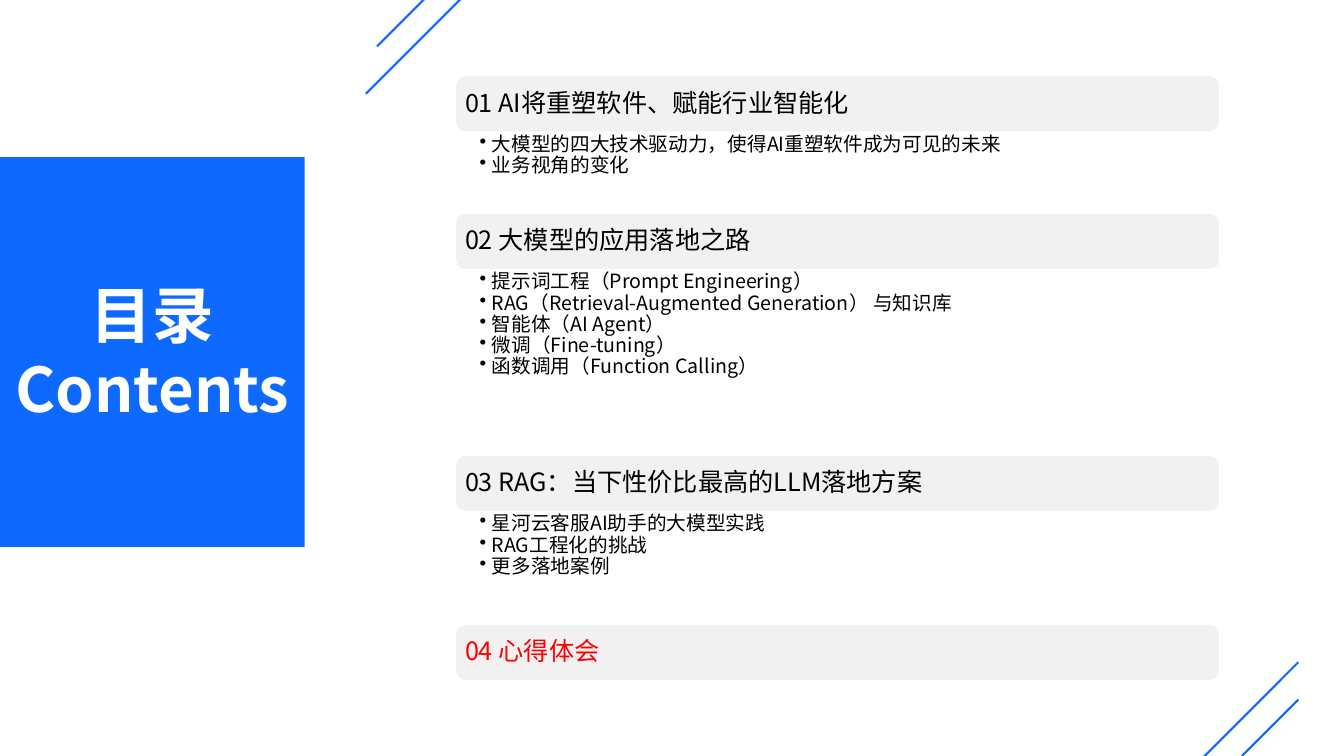
from dataclasses import dataclass

from lxml.etree import SubElement
from pptx import Presentation
from pptx.dml.color import RGBColor
from pptx.enum.shapes import MSO_CONNECTOR, MSO_SHAPE
from pptx.enum.text import MSO_ANCHOR, PP_ALIGN
from pptx.oxml.ns import qn
from pptx.shapes.autoshape import Shape
from pptx.slide import Slide
from pptx.text.text import TextFrame, _Paragraph
from pptx.util import Pt

FONT = "Noto Sans CJK SC"
BLUE = "0E69FE"
WHITE = "FFFFFF"
BLACK = "000000"
RED = "FF0000"
BAR_FILL = "F1F1F1"

BAR_LEFT, BAR_WIDTH, BAR_HEIGHT = 325.4, 545.8, 40.3
BAR_PITCH = 40.5
FIRST_BAR_TOP = 54
HEADING_INSET = 1.8
BULLET_INDENT = 8.64


@dataclass(frozen=True)
class Section:
    heading: str
    topics: tuple[str, ...] = ()
    topics_height: float = 0
    color: str = BLACK


@dataclass(frozen=True)
class Stripe:
    x1: float
    y1: float
    x2: float
    y2: float


SECTIONS = (
    Section(
        "01 AI将重塑软件、赋能行业智能化",
        ("大模型的四大技术驱动力，使得AI重塑软件成为可见的未来", "业务视角的变化"),
        57.8,
    ),
    Section(
        "02 大模型的应用落地之路",
        (
            "提示词工程（Prompt Engineering）",
            "RAG（Retrieval-Augmented Generation） 与知识库",
            "智能体（AI Agent）",
            "微调（Fine-tuning）",
            "函数调用（Function Calling）",
        ),
        132.4,
    ),
    Section(
        "03 RAG：当下性价比最高的LLM落地方案",
        ("星河云客服AI助手的大模型实践", "RAG工程化的挑战", "更多落地案例"),
        80.2,
    ),
    Section("04 心得体会", color=RED),
)

STRIPES = (
    Stripe(357.8, -29.5, 261.4, 67),
    Stripe(927.4, 473, 824.4, 576),
    Stripe(309.6, -7.2, 269.3, 33.1),
    Stripe(927.4, 499.7, 887, 540),
)


def rgb(color: str) -> RGBColor:
    return RGBColor.from_string(color)


def style_paragraph(
    paragraph: _Paragraph, size: float, color: str, bold: bool = False
) -> None:
    font = paragraph.font
    font.size = Pt(size)
    font.bold = bold
    font.color.rgb = rgb(color)
    font.name = FONT
    defaults = paragraph._p.pPr.find(qn("a:defRPr"))
    SubElement(defaults, qn("a:ea")).set("typeface", FONT)


def add_bullet(paragraph: _Paragraph) -> None:
    properties = paragraph._p.get_or_add_pPr()
    properties.set("marL", str(Pt(BULLET_INDENT)))
    properties.set("indent", str(-Pt(BULLET_INDENT)))
    SubElement(properties, qn("a:buChar")).set("char", "•")


def add_text_frame(
    slide: Slide,
    left: float,
    top: float,
    width: float,
    height: float,
    insets: tuple[float, float, float, float],
) -> TextFrame:
    box = slide.shapes.add_textbox(Pt(left), Pt(top), Pt(width), Pt(height))
    frame = box.text_frame
    frame.word_wrap = True
    frame.margin_left, frame.margin_top, frame.margin_right, frame.margin_bottom = (
        Pt(inset) for inset in insets
    )
    return frame


def add_panel(
    slide: Slide,
    kind: MSO_SHAPE,
    left: float,
    top: float,
    width: float,
    height: float,
    fill: str,
) -> Shape:
    panel = slide.shapes.add_shape(kind, Pt(left), Pt(top), Pt(width), Pt(height))
    panel.shadow.inherit = False
    panel.fill.solid()
    panel.fill.fore_color.rgb = rgb(fill)
    panel.line.fill.background()
    return panel


def draw_section(slide: Slide, section: Section, top: float) -> None:
    bar = add_panel(
        slide, MSO_SHAPE.ROUNDED_RECTANGLE, BAR_LEFT, top, BAR_WIDTH, BAR_HEIGHT, BAR_FILL
    )
    bar.line.color.rgb = rgb(WHITE)
    bar.line.width = Pt(1)

    heading = add_text_frame(
        slide,
        BAR_LEFT + HEADING_INSET,
        top + HEADING_INSET,
        BAR_WIDTH - 2 * HEADING_INSET,
        BAR_HEIGHT - 2 * HEADING_INSET,
        (5, 5, 5, 5),
    )
    heading.vertical_anchor = MSO_ANCHOR.MIDDLE
    heading.text = section.heading
    heading.paragraphs[0].line_spacing = 0.9
    style_paragraph(heading.paragraphs[0], 18, section.color)

    if not section.topics:
        return
    topics = add_text_frame(
        slide,
        BAR_LEFT,
        top + BAR_PITCH,
        BAR_WIDTH,
        section.topics_height,
        (17.3, 1.4, 7.9, 1.4),
    )
    topics.text = "\n".join(section.topics)
    for paragraph in topics.paragraphs:
        paragraph.level = 1
        add_bullet(paragraph)
        paragraph.line_spacing = 0.9
        style_paragraph(paragraph, 14, BLACK)


def draw_title(slide: Slide) -> None:
    add_panel(slide, MSO_SHAPE.RECTANGLE, 0, 112.2, 217.6, 278.4, BLUE)
    title = add_text_frame(slide, 0, 194.4, 217.6, 113.8, (7.2, 3.6, 7.2, 3.6))
    title.text = "目录\nContents"
    for paragraph in title.paragraphs:
        paragraph.alignment = PP_ALIGN.CENTER
        style_paragraph(paragraph, 44, WHITE, bold=True)


def draw_stripe(slide: Slide, stripe: Stripe) -> None:
    line = slide.shapes.add_connector(
        MSO_CONNECTOR.STRAIGHT,
        Pt(stripe.x1),
        Pt(stripe.y1),
        Pt(stripe.x2),
        Pt(stripe.y2),
    )
    line.line.color.rgb = rgb(BLUE)
    line.line.width = Pt(1.5)
    SubElement(line._element.spPr, qn("a:effectLst"))


def main() -> None:
    presentation = Presentation()
    presentation.slide_width = Pt(960)
    presentation.slide_height = Pt(540)
    slide = presentation.slides.add_slide(presentation.slide_layouts[6])
    top = FIRST_BAR_TOP
    for section in SECTIONS:
        draw_section(slide, section, top)
        top += BAR_PITCH + section.topics_height
    draw_title(slide)
    for stripe in STRIPES:
        draw_stripe(slide, stripe)
    presentation.save("out.pptx")


if __name__ == "__main__":
    main()
